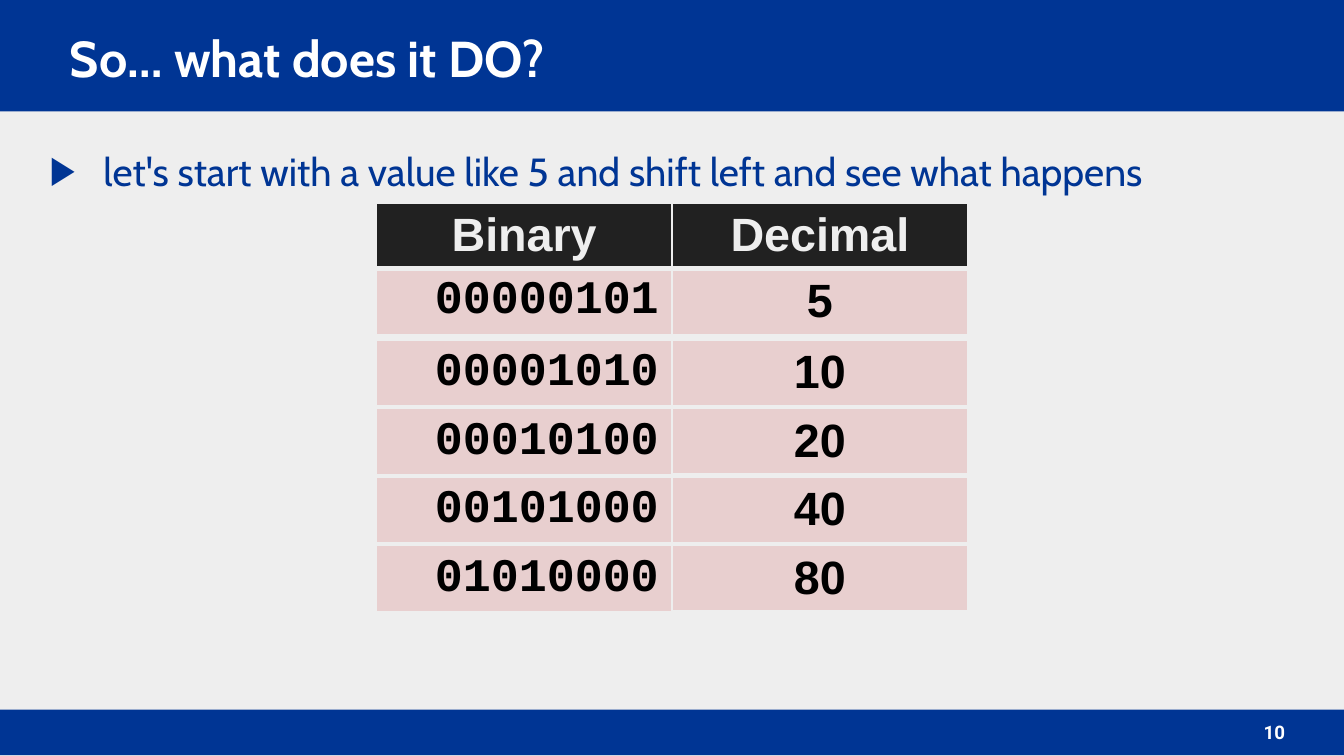
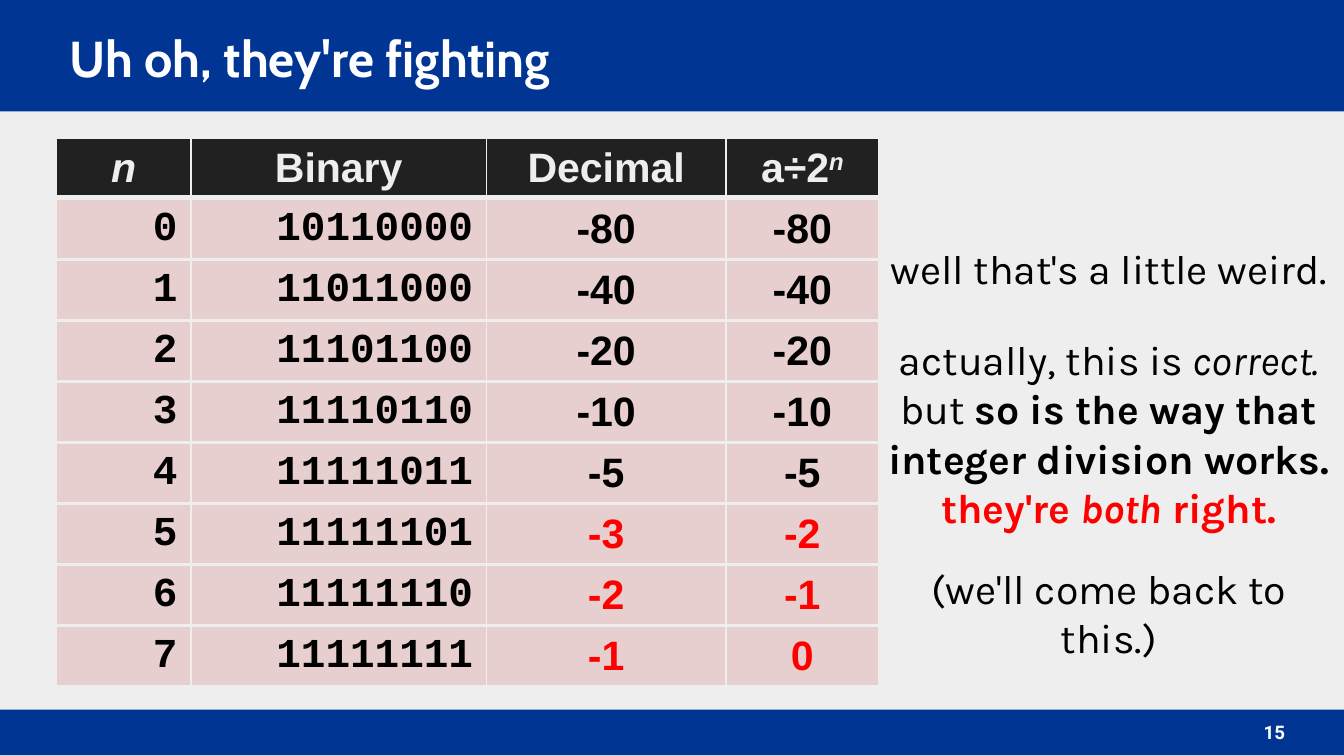
from dataclasses import dataclass
from itertools import accumulate
from typing import NamedTuple

from lxml import etree
from pptx import Presentation
from pptx.dml.color import RGBColor
from pptx.enum.shapes import MSO_SHAPE
from pptx.enum.text import MSO_ANCHOR, MSO_AUTO_SIZE, PP_ALIGN
from pptx.oxml.ns import qn
from pptx.util import Inches, Pt

RECT = MSO_SHAPE.RECTANGLE
LEFT, MID, RIGHT = PP_ALIGN.LEFT, PP_ALIGN.CENTER, PP_ALIGN.RIGHT
CENTRE, TOP = MSO_ANCHOR.MIDDLE, MSO_ANCHOR.TOP
FIXED, GROW = MSO_AUTO_SIZE.NONE, MSO_AUTO_SIZE.SHAPE_TO_FIT_TEXT

HEX = {
    "blue": "003594",
    "page": "EEEEEE",
    "white": "FFFFFF",
    "black": "000000",
    "dark": "212121",
    "pink": "E8CFCF",
    "red": "FF0000",
}


class Box(NamedTuple):
    left: float
    top: float
    width: float
    height: float


class Bit(NamedTuple):
    """A stretch of text in one style."""
    text: str
    color: str = "black"
    bold: bool = False
    italic: bool = False
    raised: bool = False


@dataclass
class Cell:
    bits: list[Bit]
    face: str = "Arial"
    align: PP_ALIGN = MID
    fill: str = "pink"
    under: int = 1


@dataclass
class Note:
    box: Box
    bits: list[Bit]


BANDS = [Box(0, 0, 10, 0.83), Box(0, 5.28, 10, 0.34)]
TITLE = Box(0.42, 0.18, 9.24, 0.5)
NUMBER = Box(9.06, 5.28, 0.6, 0.34)


def rgb(name: str) -> RGBColor:
    return RGBColor.from_string(HEX[name])


# Text and shape helpers
def place(shape, box: Box) -> None:
    shape.left, shape.top, shape.width, shape.height = map(Inches, box)


def setup(frame, pad: float, anchor, fit=FIXED) -> None:
    frame.word_wrap = True
    frame.auto_size = fit
    frame.vertical_anchor = anchor
    frame.margin_left = frame.margin_right = Inches(0.1)
    frame.margin_top = frame.margin_bottom = Inches(pad)


def write(para, bits: list[Bit], face: str, size: float, align=LEFT) -> None:
    para.alignment = align
    para.space_before = Pt(0)
    for bit in bits:
        run = para.add_run()
        run.text = bit.text
        font = run.font
        font.name, font.size = face, Pt(size)
        font.bold, font.italic = bit.bold, bit.italic
        font.color.rgb = rgb(bit.color)
        if bit.raised:
            run._r.get_or_add_rPr().set("baseline", "30000")


def label(slide, box: Box, bits: list[Bit], face: str, size: float,
          align, pad: float, anchor, fit) -> None:
    frame = slide.shapes.add_textbox(*map(Inches, box)).text_frame
    setup(frame, pad, anchor, fit)
    write(frame.paragraphs[0], bits, face, size, align)


def bullet(para, mark: str, color: str) -> None:
    props = para._p.get_or_add_pPr()
    props.set("marL", str(Inches(0.5)))
    props.set("indent", str(Inches(-0.4)))
    tint = etree.SubElement(props, qn("a:buClr"))
    etree.SubElement(tint, qn("a:srgbClr"), val=HEX[color])
    etree.SubElement(props, qn("a:buChar"), char=mark)


# Table helpers
def edge(cell, side: str, width: int) -> None:
    props = cell._tc.get_or_add_tcPr()
    line = etree.SubElement(props, qn(f"a:ln{side}"), w=str(Pt(width)))
    fill = etree.SubElement(line, qn("a:solidFill"))
    etree.SubElement(fill, qn("a:srgbClr"), val=HEX["page"])


def grid(slide, box: Box, rows: list[list[Cell]], tall: float,
         size: float) -> None:
    """Draw a table whose rows grow from height tall to fit their text."""
    frame = slide.shapes.add_table(len(rows), len(rows[0]), *map(Inches, box))
    table = frame.table
    table.first_row = table.horz_banding = False
    for r, row in enumerate(rows):
        table.rows[r].height = Inches(tall)
        for c, item in enumerate(row):
            cell = table.cell(r, c)
            cell.vertical_anchor = CENTRE
            cell.margin_left = cell.margin_right = Inches(0.1)
            cell.margin_top = cell.margin_bottom = Inches(0.05)
            for side in "LRTB":
                edge(cell, side, item.under if side == "B" else 1)
            cell.fill.solid()
            cell.fill.fore_color.rgb = rgb(item.fill)
            write(cell.text_frame.paragraphs[0], item.bits, item.face,
                  size, item.align)
    frame.height = Inches(box.height)


def head(text: str, italic: bool = False, power: str = "") -> Cell:
    bits = [Bit(text, "page", True, italic)]
    if power:
        bits.append(Bit(power, "page", True, True, True))
    return Cell(bits, fill="dark", under=3)


def code(text: str) -> Cell:
    return Cell([Bit(text, bold=True)], "Courier New", RIGHT)


def count(value: int, color: str = "black") -> Cell:
    return Cell([Bit(str(value), color, True)])


def binary(value: int) -> Cell:
    return code(f"{value & 0xFF:08b}")


# Shared parts
def dress(deck, slide) -> None:
    """Set the master's background and move the bands onto it."""
    master = deck.slide_master
    master.background.fill.solid()
    master.background.fill.fore_color.rgb = rgb("page")
    for at, box in enumerate(BANDS, 2):
        band = slide.shapes.add_shape(RECT, *map(Inches, box))
        band.shadow.inherit = False
        band.fill.solid()
        band.fill.fore_color.rgb = rgb("blue")
        band.line.fill.background()
        master.shapes.element.insert(at, band.element)


def start(deck, layout: int, title: str, number: int):
    slide = deck.slides.add_slide(deck.slide_layouts[layout])
    shape = slide.shapes.title
    place(shape, TITLE)
    setup(shape.text_frame, 0.1, CENTRE)
    write(shape.text_frame.paragraphs[0], [Bit(title, "white", True)],
          "Cabin", 27)
    label(slide, NUMBER, [Bit(str(number), "white", True)], "Roboto", 10,
          RIGHT, 0.1, CENTRE, FIXED)
    return slide


# Slide: shifting left
def shift(deck) -> None:
    slide = start(deck, 1, "So… what does it DO?", 10)
    dress(deck, slide)

    body = slide.placeholders[1]
    place(body, Box(0.17, 0.99, 9.83, 0.52))
    setup(body.text_frame, 0.05, TOP)
    para = body.text_frame.paragraphs[0]
    bullet(para, "▶", "blue")
    para.line_spacing = 1.15
    write(para, [Bit("let's start with a value like 5 and shift left "
                     "and see what happens", "blue")], "Cabin", 21)

    left, wide, step = 2.8, 2.2, 0.51
    first, *rest = [5 << n for n in range(5)]
    grid(slide, Box(left, 1.51, 2 * wide, 1.01),
         [[head("Binary"), head("Decimal")], [binary(first), count(first)]],
         0.36, 25)
    for r, value in enumerate(rest):
        for c, cell in enumerate([binary(value), count(value)]):
            box = Box(left + c * wide, 2.53 + r * step, wide, step)
            grid(slide, box, [[cell]], 0.36, 25)


# Slide: shift against division
NOTES = [
    Note(Box(6.5, 1.76, 3.5, 0.47), [Bit("well that's a little weird.")]),
    Note(Box(6.5, 2.44, 3.5, 1.58), [
        Bit("actually, this is "),
        Bit("correct. ", italic=True),
        Bit("but "),
        Bit("so is the way that integer division works. ", bold=True),
        Bit("they're ", "red", True),
        Bit("both", "red", True, True),
        Bit(" right.", "red", True),
    ]),
    Note(Box(6.5, 4.14, 3.5, 0.47), [Bit("(we'll come back to this.)")]),
]


def fight(deck) -> None:
    slide = start(deck, 5, "Uh oh, they're fighting", 15)

    rows = [[head("n", True), head("Binary"), head("Decimal"),
             head("a÷2", power="n")]]
    for n in range(8):
        moved, ratio = -80 >> n, int(-80 / 2 ** n)
        color = "black" if moved == ratio else "red"
        rows.append([code(str(n)), binary(moved), count(moved, color),
                     count(ratio, color)])

    wides = [1, 2.2, 1.78, 1.14]
    lefts = list(accumulate(wides, initial=0.42))
    top, last = 1.03, 4.66
    step = (last - top) / 8
    for r, row in enumerate(rows):
        for c, cell in enumerate(row):
            tall = 0.36 if r == 0 else 0.24 if c == 3 else 0.33
            box = Box(lefts[c], top + r * step, wides[c], 0.46)
            grid(slide, box, [[cell]], tall, 22)

    for note in NOTES:
        label(slide, note.box, note.bits, "Karla", 22, MID, 0.05, TOP, GROW)


def main() -> None:
    deck = Presentation()
    deck.slide_width = Inches(10)
    deck.slide_height = deck.slide_width * 9 // 16
    shift(deck)
    fight(deck)
    deck.save("out.pptx")


if __name__ == "__main__":
    main()
